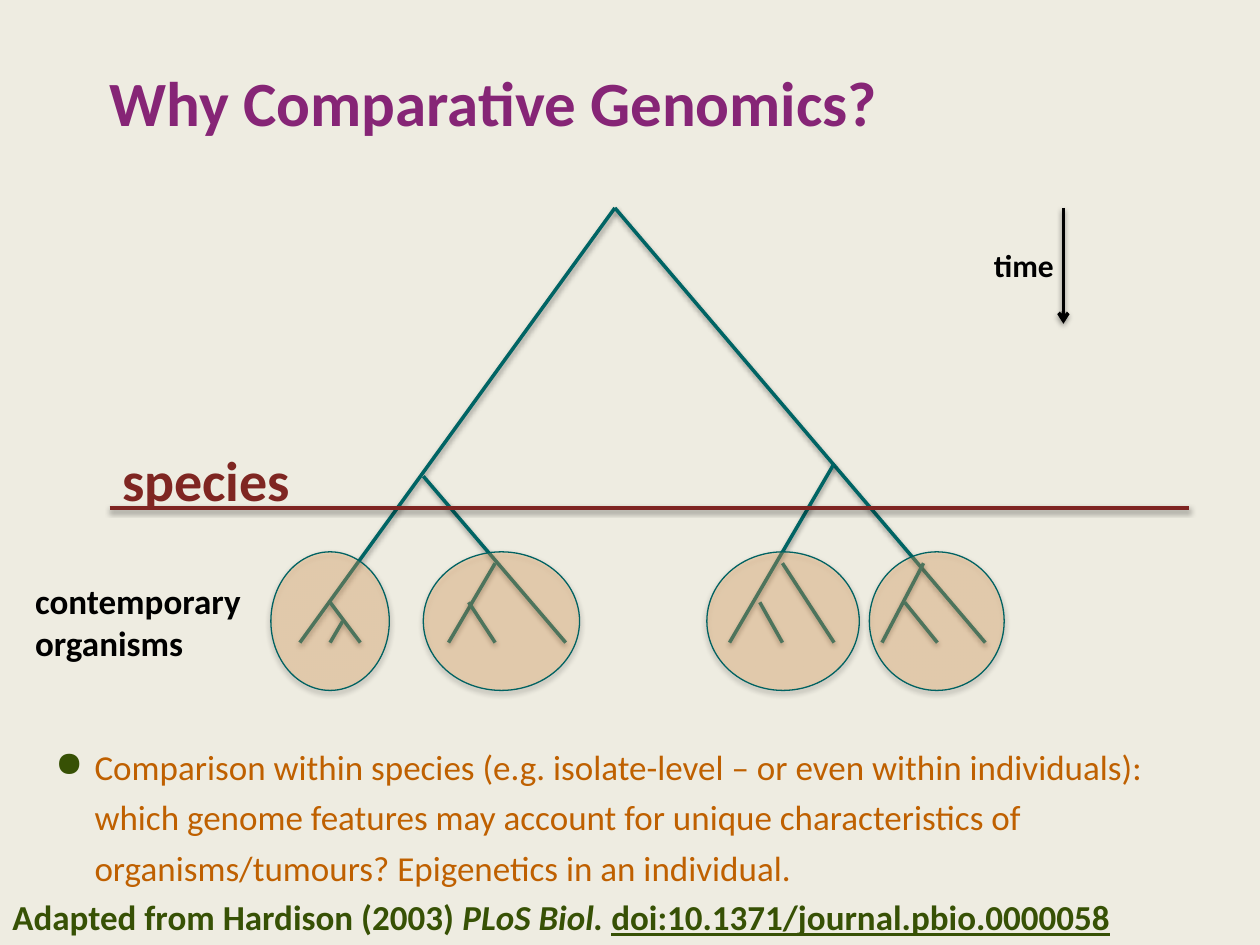
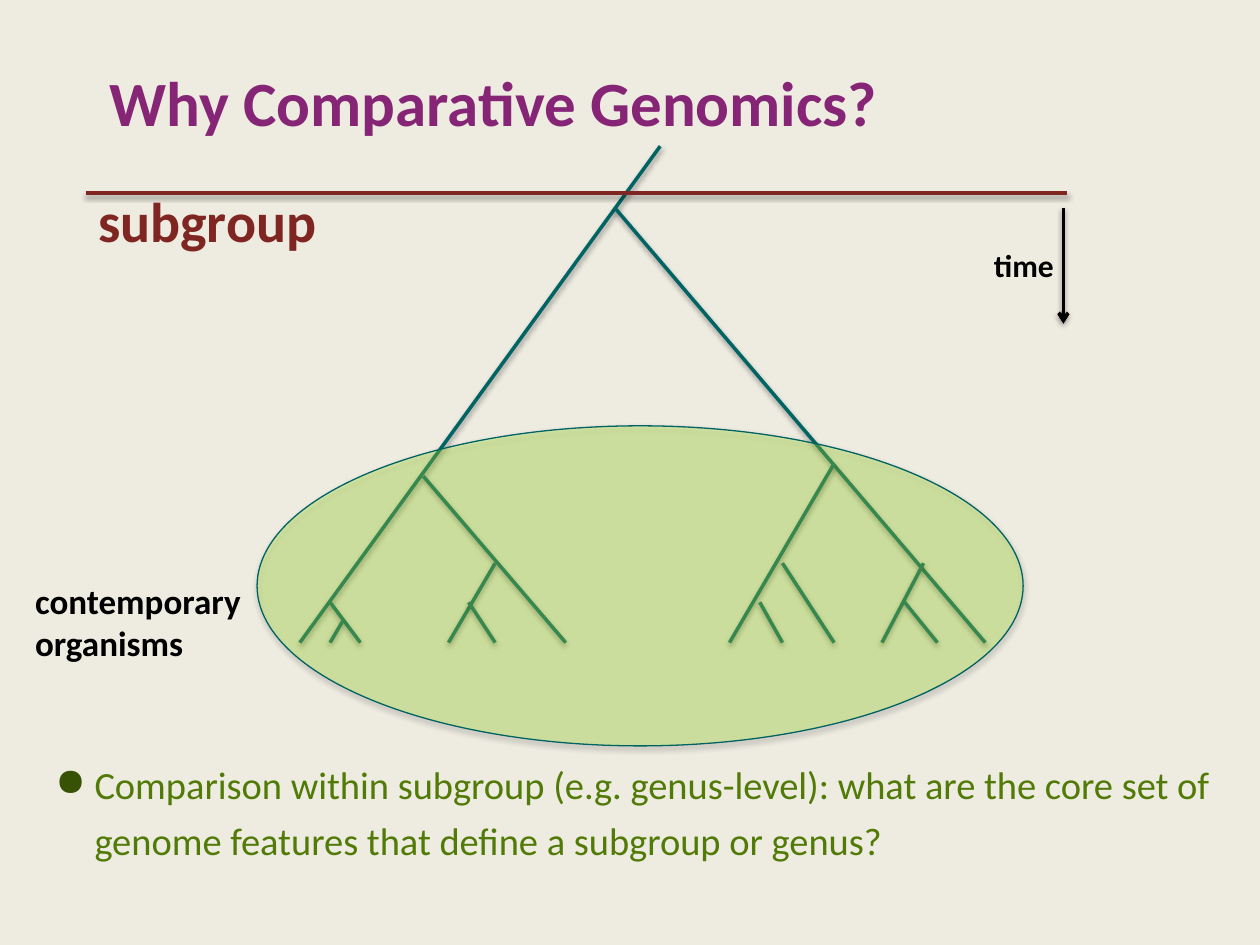
import pptx
import pptx.util
import pptx.dml.color
import pptx.enum.shapes
import pptx.enum.text
import pptx.oxml
import pptx.oxml.ns
from dataclasses import dataclass

Inch = pptx.util.Inches
Pt = pptx.util.Pt
MSO = pptx.enum.text


@dataclass(frozen=True)
class Theme:
    font: str = "Calibri"
    paper: str = "EEECE1"
    title: str = "862576"
    branch: str = "006464"
    rim: str = "006262"
    level: str = "7F2522"
    label: str = "7F2622"
    ink: str = "000000"
    green: str = "375105"
    head: int = 36
    big: int = 32
    text: int = 20
    small: int = 18
    thick: float = 2
    thin: float = 0.75


T = Theme()
WIDE, HIGH = 10, 7.5

TITLE = "Why Comparative Genomics?"
# Heights of the tree, from the root down to the leaves
ROOT, FORK, TWIG, LEAF = 1.65, 4.47, 4.78, 5.1
TREE = [
    (4.88, ROOT, 7.82, LEAF),
    (2.62, TWIG, 2.86, LEAF),
    (2.72, 4.93, 2.62, LEAF),
    (3.36, 3.78, 4.49, LEAF),
    (3.93, FORK, 3.56, LEAF),
    (3.72, TWIG, 3.93, LEAF),
    (6.62, 3.68, 5.79, LEAF),
    (6.21, FORK, 6.62, LEAF),
    (7.33, FORK, 7.0, LEAF),
    (7.18, TWIG, 7.44, LEAF),
    (6.03, TWIG, 6.21, LEAF),
]
CITE = [
    ("Adapted from Hardison (2003) ", {}),
    ("PLoS Biol. ", {"italic": True}),
    ("doi:10.1371/journal.pbio.0000058", {"underline": True}),
]
SLIDES = [
    dict(
        top=(4.88, ROOT),
        cite=CITE,
        groups=[(x, 4.38, w, 1.1) for x, w in
                ((2.15, 0.94), (3.36, 1.24), (5.61, 1.21), (6.9, 1.07))],
        fill="FFB366",
        level=(0.87, 9.44, 4.03),
        name="species", name_at=(0.87, 3.49, 1.55, 0.64),
        point="Comparison within species (e.g. isolate-level – or even within "
              "individuals): which genome features may account for unique "
              "characteristics of organisms/tumours? Epigenetics in an individual.",
        point_at=(0.32, 5.8, 9.39, 1.41), size=20, color="BF6000",
    ),
    dict(
        top=(5.24, 1.16),
        cite=[],
        groups=[(2.04, 3.38, 6.08, 2.54)],
        fill="B4F535",
        level=(0.68, 8.47, 1.53),
        name="subgroup", name_at=(0.68, 1.43, 1.96, 0.64),
        point="Comparison within subgroup (e.g. genus-level): what are the core "
              "set of genome features that define a subgroup or genus?",
        point_at=(0.32, 5.92, 9.39, 1.15), size=22, color="527A07",
    ),
]


def rgb(code):
    return pptx.dml.color.RGBColor.from_string(code)


def node(xml):
    """Parse one drawing element; its tag opens with '<a:name'."""
    tag, rest = xml.split(" ", 1)
    return pptx.oxml.parse_xml(f"{tag} {pptx.oxml.ns.nsdecls('a')} {rest}")


def shade(shape, alpha, dist):
    """Give a shape a soft shadow straight below it."""
    props = shape.element.spPr
    for old in props.findall(pptx.oxml.ns.qn("a:effectLst")):
        props.remove(old)
    props.append(node(
        f'<a:effectLst ><a:outerShdw blurRad="{Pt(3.1)}" dist="{Pt(dist)}" '
        f'dir="5400000" rotWithShape="0"><a:srgbClr val="{T.ink}">'
        f'<a:alpha val="{alpha}000"/></a:srgbClr></a:outerShdw></a:effectLst>'))


def rule(slide, ends, color, arrow=False):
    line = slide.shapes.add_connector(
        pptx.enum.shapes.MSO_CONNECTOR.STRAIGHT, *map(Inch, ends))
    line.line.color.rgb = rgb(color)
    line.line.width = Pt(T.thick)
    if arrow:
        line.line._get_or_add_ln().append(node('<a:tailEnd type="arrow"/>'))
    shade(line, 38, 1.6)


def oval(slide, at, color):
    """Draw a see-through ellipse around one group of organisms."""
    ring = slide.shapes.add_shape(
        pptx.enum.shapes.MSO_SHAPE.OVAL, *map(Inch, at))
    ring.shadow.inherit = False
    ring.fill.solid()
    ring.fill.fore_color.rgb = rgb(color)
    tint = ring.element.spPr.find(
        pptx.oxml.ns.qn("a:solidFill") + "/" + pptx.oxml.ns.qn("a:srgbClr"))
    tint.append(node('<a:alpha val="30000"/>'))
    ring.line.color.rgb = rgb(T.rim)
    ring.line.width = Pt(T.thin)
    shade(ring, 35, 1.8)


def add_run(para, text, size, color, bold=True, **style):
    run = para.add_run()
    run.text = text
    font = run.font
    font.name, font.size, font.bold = T.font, Pt(size), bold
    font.color.rgb = rgb(color)
    for key, value in style.items():
        setattr(font, key, value)


def label(slide, at, lines, size, color):
    """Add a bold text box; each line is a list of (text, style) runs."""
    frame = slide.shapes.add_textbox(*map(Inch, at)).text_frame
    frame.word_wrap = False
    frame.auto_size = MSO.MSO_AUTO_SIZE.SHAPE_TO_FIT_TEXT
    para = frame.paragraphs[0]
    for i, runs in enumerate(lines):
        if i:
            para.add_line_break()
        for text, style in runs:
            add_run(para, text, size, color, **style)


def add_title(slide):
    box = slide.shapes.title
    box.left, box.top, box.width, box.height = map(Inch, (0.87, 0.44, 7.73, 0.72))
    frame = box.text_frame
    frame.margin_left = 0
    frame.auto_size = MSO.MSO_AUTO_SIZE.NONE
    frame.vertical_anchor = MSO.MSO_ANCHOR.MIDDLE
    para = frame.paragraphs[0]
    para.alignment = MSO.PP_ALIGN.LEFT
    add_run(para, TITLE, T.head, T.title)


def add_point(slide, at, text, size, color):
    frame = slide.shapes.add_textbox(*map(Inch, at)).text_frame
    frame.word_wrap = True
    frame.margin_left = 0
    para = frame.paragraphs[0]
    props = para._p.get_or_add_pPr()
    props.set("marL", str(Inch(0.43)))
    props.set("indent", str(Inch(-0.31)))
    props.append(node(f'<a:buClr ><a:srgbClr val="{T.green}"/></a:buClr>'))
    props.append(node('<a:buChar char="●"/>'))
    para.line_spacing = 1.2
    para.space_after = Pt(13.2)
    add_run(para, text, size, color, bold=False)


def add_slide(deck, page):
    slide = deck.slides.add_slide(deck.slide_layouts[5])
    add_title(slide)
    for ends in [(2.38, LEAF, *page["top"]), *TREE]:
        rule(slide, ends, T.branch)
    if page["cite"]:
        label(slide, (0, 7.06, 9.04, 0.44), [page["cite"]], T.text, T.green)
    for at in page["groups"]:
        oval(slide, at, page["fill"])
    left, right, y = page["level"]
    rule(slide, (left, y, right, y), T.level)
    label(slide, page["name_at"], [[(page["name"], {})]], T.big, T.label)
    label(slide, (7.79, 1.9, 0.68, 0.4), [[("time", {})]], T.small, T.ink)
    rule(slide, (8.44, ROOT, 8.44, 2.57), T.ink, arrow=True)
    label(slide, (0.18, 4.55, 1.86, 0.77),
          [[("contemporary", {})], [("organisms", {})]], T.text, T.ink)
    add_point(slide, page["point_at"], page["point"], page["size"], page["color"])


def main():
    deck = pptx.Presentation()
    deck.slide_width, deck.slide_height = Inch(WIDE), Inch(HIGH)
    back = deck.slide_master.background.fill
    back.solid()
    back.fore_color.rgb = rgb(T.paper)
    for page in SLIDES:
        add_slide(deck, page)
    deck.save("out.pptx")


if __name__ == "__main__":
    main()
